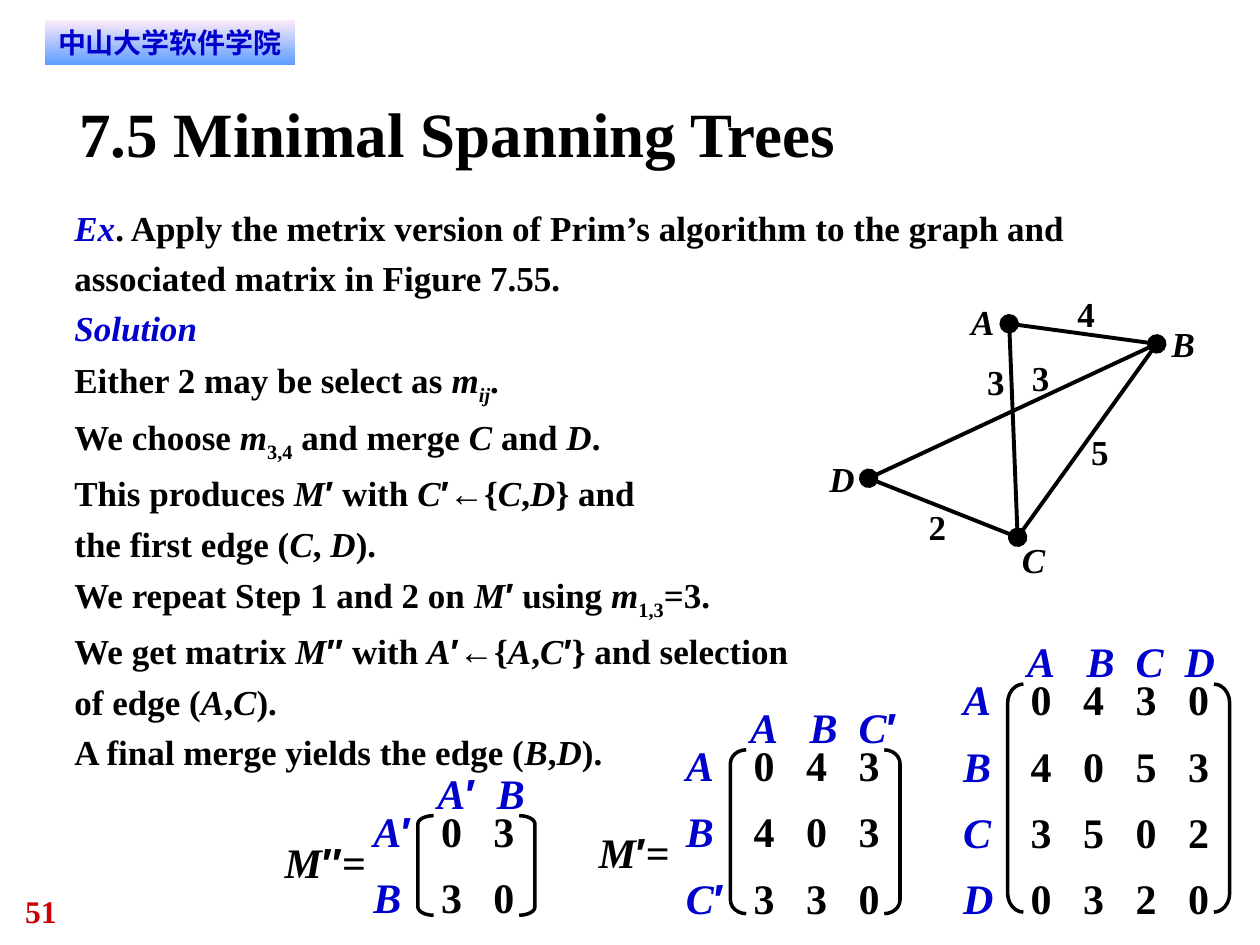
"""Slide working through the matrix version of Prim's algorithm on a small graph."""
from itertools import groupby

from lxml.etree import SubElement
from pptx import Presentation
from pptx.dml.color import RGBColor
from pptx.enum.shapes import MSO_CONNECTOR, MSO_SHAPE
from pptx.enum.text import PP_ALIGN
from pptx.oxml.ns import qn
from pptx.util import Pt

BLACK = RGBColor(0x00, 0x00, 0x00)
BLUE = RGBColor(0x00, 0x00, 0xCC)
RED = RGBColor(0xCC, 0x00, 0x00)
PINK = RGBColor(0xFF, 0xEB, 0xFA)
SKY = RGBColor(0x5E, 0x9E, 0xFF)
SERIF = "Times New Roman"

TITLE = "7.5 Minimal Spanning Trees"
SCHOOL = "中山大学软件学院"
PAGE = "51"
BODY = [
    "#Ex#. Apply the metrix version of Prim’s algorithm to the graph and "
    "associated matrix in Figure 7.55.",
    "#Solution#",
    "Either 2 may be select as *m_ij_*.",
    "We choose *m*_3,4_ and merge *C* and *D*.",
    "This produces *M*′ with *C*′←{*C*,*D*} and\nthe first edge (*C*, *D*).",
    "We repeat Step 1 and 2 on *M*′ using *m*_1,3_=3.",
    "We get matrix *M*′′ with *A*′←{*A*,*C*′} and selection\nof edge (*A*,*C*).",
    "A final merge yields the edge (*B*,*D*).",
]
NODES = {"A": (576.7, 185), "B": (661, 196.5), "C": (581.5, 307), "D": (496.4, 273.3)}
EDGES = [("B", "C", ()), ("A", "B", ()), ("B", "D", ("headEnd",)),
         ("A", "C", ("headEnd",)), ("D", "C", ("headEnd", "tailEnd"))]
NODE_LABELS = [("*A*", 555, 171.5), ("*B*", 669.5, 184.5),
               ("*C*", 584, 308), ("*D*", 474, 261.5)]
WEIGHTS = [("3", 564, 206), ("3", 589.7, 203.8), ("5", 623.5, 246.2),
           ("4", 615.6, 167), ("2", 530.6, 288.7)]
MATRICES = [
    (589, ["A", "B", "C", "D"], ["0430", "4053", "3502", "0320"]),
    (430.6, ["A", "B", "C′"], ["043", "403", "330"]),
    (252, ["A′", "B"], ["03", "30"]),
]
MATRIX_NAMES = [("*M*′=", 342, 472.3, 43), ("*M*′′=", 162.7, 478, 51)]
HEADER_TABS = [34, 62, 90]
COLUMN = 30
BASELINE = 535.5
ROW = 37.6


def styled_chunks(text):
    """Split marked text (* italic, # blue italic, _ subscript) into uniform chunks."""
    on = dict.fromkeys("*#_", False)
    chars = []
    for ch in text:
        if ch in on:
            on[ch] = not on[ch]
        else:
            chars.append((ch, (on["*"] or on["#"], on["#"], on["_"], ch in "′←", ch == "\n")))
    for style, group in groupby(chars, key=lambda pair: pair[1]):
        yield "".join(ch for ch, _ in group), style


def write(tf, lines, *, size=20, color=BLACK, font=SERIF, align=None, spacing=None,
          gap=0, tabs=(), wrap=True, margins=(0, 0)):
    """Fill a text frame with bold marked-up lines."""
    tf.word_wrap = wrap
    tf.margin_left = tf.margin_right = Pt(margins[0])
    tf.margin_top = tf.margin_bottom = Pt(margins[1])
    for i, line in enumerate(lines):
        p = tf.add_paragraph() if i else tf.paragraphs[0]
        if tabs:
            tab_list = SubElement(p._p.get_or_add_pPr(), qn("a:tabLst"))
            for pos in tabs:
                SubElement(tab_list, qn("a:tab"), pos=str(int(Pt(pos))), algn="l")
        p.alignment = align
        p.line_spacing = spacing
        if i and gap:
            p.space_before = Pt(gap)
        for chunk, (italic, accent, sub, symbol, line_break) in styled_chunks(line):
            if line_break:
                p.add_line_break()
                continue
            r = p.add_run()
            r.text = chunk
            r.font.size = Pt(size)
            r.font.bold = True
            r.font.italic = italic and not symbol
            r.font.name = "Arial" if symbol else font
            r.font.color.rgb = BLUE if accent else color
            r_pr = r._r.get_or_add_rPr()
            SubElement(r_pr, qn("a:ea"), typeface=r.font.name)
            if sub:
                r_pr.set("baseline", "-25000")


def add_text(s, lines, x, y, w, h, **fmt):
    """Add a text box and write the lines in it."""
    write(s.shapes.add_textbox(Pt(x), Pt(y), Pt(w), Pt(h)).text_frame, lines, **fmt)


def add_banner(s):
    """Add the gradient banner with the school name."""
    sp = s.shapes.add_shape(MSO_SHAPE.RECTANGLE, Pt(25.5), Pt(11.4), Pt(143), Pt(25.4))
    sp.shadow.inherit = False
    sp.line.fill.background()
    sp.fill.gradient()
    sp.fill.gradient_angle = 270
    for stop, color, pos in zip(sp.fill.gradient_stops, (PINK, SKY), (0, 1)):
        stop.color.rgb = color
        stop.position = pos
    write(sp.text_frame, [SCHOOL], size=16, color=BLUE, font="DejaVu Sans",
          align=PP_ALIGN.CENTER, margins=(5.8, 2.9))


def add_edge(s, start, end, dots):
    """Join two nodes, with a round dot at each listed line end."""
    ends = [Pt(v) for v in NODES[start] + NODES[end]]
    line = s.shapes.add_connector(MSO_CONNECTOR.STRAIGHT, *ends)
    line.line.color.rgb = BLACK
    line.line.width = Pt(2.25)
    for dot in dots:
        SubElement(line.line._get_or_add_ln(), qn("a:" + dot), type="oval", w="lg", len="lg")
    SubElement(line._element.spPr, qn("a:effectLst"))


def add_bracket(s, kind, x, y, w, h):
    """Add one side of a matrix bracket."""
    sp = s.shapes.add_shape(kind, Pt(x), Pt(y), Pt(w), Pt(h))
    sp.shadow.inherit = False
    sp.adjustments[0] = h / 12 / w
    sp.fill.background()
    sp.line.color.rgb = BLACK
    sp.line.width = Pt(2)


def add_matrix(s, x, names, rows):
    """Add a bracketed matrix with row and column names."""
    n = len(names)
    y = BASELINE - ROW * n
    height = 36.7 * n - 16.5
    labels = [f"#{name}#" for name in names]
    add_bracket(s, MSO_SHAPE.LEFT_BRACKET, x - 13.2, y + 5.8, 9, height)
    add_bracket(s, MSO_SHAPE.RIGHT_BRACKET, x + COLUMN * n - 15.3, y + 5.8, 9, height)
    add_text(s, ["\t".join(row) for row in rows], x, y, COLUMN * n - 17, ROW * n - 8,
             size=24, gap=9, tabs=[COLUMN * i for i in range(1, n)])
    add_text(s, labels, x - 38.7, y, 24, ROW * n - 8, size=24, gap=9, wrap=False)
    add_text(s, ["\t".join(labels)], x - 2, y - 21.8, 28.7 * n, 28.8,
             size=24, tabs=HEADER_TABS[:n - 1])


def main():
    """Build and save the slide."""
    prs = Presentation()
    prs.slide_width, prs.slide_height = Pt(720), Pt(540)
    s = prs.slides.add_slide(prs.slide_layouts[6])
    add_text(s, [PAGE], 14.4, 509.8, 54, 21.6, size=18, color=RED)
    add_banner(s)
    add_text(s, BODY, 42.5, 113, 644.4, 328.3, spacing=1.2)
    add_text(s, [TITLE], 45.4, 54, 630, 43.2, size=36)
    for edge in EDGES:
        add_edge(s, *edge)
    for text, x, y in NODE_LABELS + WEIGHTS:
        add_text(s, [text], x, y, 14 if "*" in text else 10, 23.8, wrap=False)
    for matrix in MATRICES:
        add_matrix(s, *matrix)
    for text, x, y, w in MATRIX_NAMES:
        add_text(s, [text], x, y, w, 28.8, size=24, wrap=False)
    prs.save("out.pptx")


if __name__ == "__main__":
    main()
